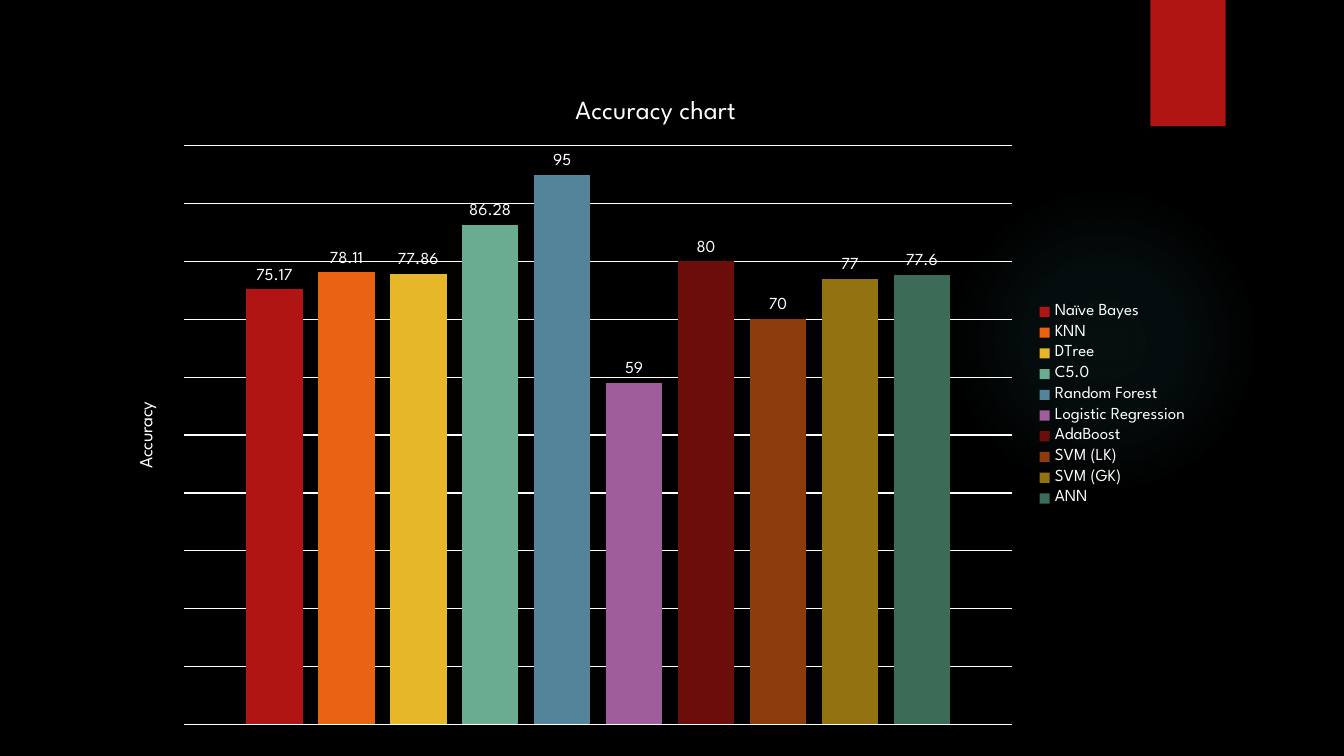
from pptx import Presentation
from pptx.chart.data import CategoryChartData
from pptx.dml.color import RGBColor
from pptx.enum.chart import XL_CHART_TYPE, XL_LABEL_POSITION, XL_LEGEND_POSITION
from pptx.enum.shapes import MSO_SHAPE
from pptx.oxml import parse_xml
from pptx.oxml.ns import nsdecls, qn
from pptx.util import Inches, Pt

COLUMN = XL_CHART_TYPE.COLUMN_CLUSTERED
ABOVE = XL_LABEL_POSITION.OUTSIDE_END
RIGHT = XL_LEGEND_POSITION.RIGHT
RECT = MSO_SHAPE.RECTANGLE
OVAL = MSO_SHAPE.OVAL
FACE = "League Spartan"
WHITE = "FFFFFF"
RED = "B01513"
GLOW = "50B9C1"

MODELS = [
    ("Naïve Bayes", 75.17, RED),
    ("KNN", 78.11, "EA6312"),
    ("DTree", 77.86, "E6B729"),
    ("C5.0", 86.28, "6AAC90"),
    ("Random Forest", 95, "54849A"),
    ("Logistic Regression", 59, "9E5E9B"),
    ("AdaBoost", 80, "6A0D0B"),
    ("SVM (LK)", 70, "8C3B0B"),
    ("SVM (GK)", 77, "927211"),
    ("ANN", 77.6, "3C6B57"),
]


def paint(fill, color):
    fill.solid()
    fill.fore_color.rgb = RGBColor.from_string(color)


def style(font, size, color=WHITE):
    font.name = FACE
    font.size = Pt(size)
    font.bold = False
    paint(font.fill, color)


def write(frame, text, size=10, color=WHITE):
    run = frame.paragraphs[0].add_run()
    run.text = text
    style(run.font, size, color)


def add_block(slide, kind, x, y, w, h, color):
    block = slide.shapes.add_shape(kind, Inches(x), Inches(y), Inches(w), Inches(h))
    block.shadow.inherit = False
    paint(block.fill, color)
    block.line.fill.background()
    return block


def add_glow(shape, color, stops):
    marks = "".join(
        f'<a:gs pos="{pos * 1000}"><a:srgbClr val="{color}">'
        f'<a:alpha val="{alpha * 1000}"/></a:srgbClr></a:gs>'
        for pos, alpha in stops
    )
    props = shape.element.spPr
    props.replace(props.find(qn("a:solidFill")), parse_xml(
        f'<a:gradFill {nsdecls("a")}><a:gsLst>{marks}</a:gsLst><a:path path="circle">'
        '<a:fillToRect l="50000" t="50000" r="50000" b="50000"/></a:path></a:gradFill>'
    ))


def add_shadow(shape, color, alpha, blur, gap, angle):
    shape.element.spPr.find(qn("a:effectLst")).append(parse_xml(
        f'<a:outerShdw {nsdecls("a")} blurRad="{Pt(blur)}" dist="{Pt(gap)}" '
        f'dir="{angle * 60000}" rotWithShape="0"><a:srgbClr val="{color}">'
        f'<a:alpha val="{alpha * 1000}"/></a:srgbClr></a:outerShdw>'
    ))


def add_chart(slide, x, y, w, h):
    data = CategoryChartData()
    data.categories = ["1"]
    for name, value, _ in MODELS:
        data.add_series(name, [value])
    chart = slide.shapes.add_chart(
        COLUMN, Inches(x), Inches(y), Inches(w), Inches(h), data).chart
    style(chart.font, 10)
    chart.has_title = True
    write(chart.chart_title.text_frame, "Accuracy chart", size=14)
    chart.chart_title.include_in_layout = False

    chart.has_legend = True
    chart.legend.position = RIGHT
    chart.legend.include_in_layout = False
    style(chart.legend.font, 9)

    chart.category_axis.visible = False
    axis = chart.value_axis
    axis.visible = False
    axis.minimum_scale, axis.maximum_scale, axis.major_unit = 0, 100, 10
    axis.has_major_gridlines = True
    grid = axis.major_gridlines.format.line
    grid.width = Pt(0.75)
    paint(grid.fill, WHITE)
    axis.has_title = True
    write(axis.axis_title.text_frame, "Accuracy")

    plot = chart.plots[0]
    plot.gap_width, plot.overlap = 219, -27
    plot.vary_by_categories = False
    for series, (_, _, color) in zip(plot.series, MODELS):
        paint(series.format.fill, color)
        labels = series.data_labels
        labels.show_value = True
        labels.position = ABOVE
        style(labels.font, 9)


def main():
    deck = Presentation()
    deck.slide_width, deck.slide_height = Inches(10), Inches(10) * 9 // 16
    slide = deck.slides.add_slide(deck.slide_layouts[6])
    paint(slide.background.fill, "000000")
    glow = add_block(slide, OVAL, 7.06, 1.38, 2.31, 2.31, GLOW)
    add_glow(glow, GLOW, [(0, 7), (36, 6), (69, 0)])
    flag = add_block(slide, RECT, 8.56, 0, 0.56, 0.94, RED)
    add_shadow(flag, "000000", alpha=45, blur=3, gap=2, angle=90)
    add_chart(slide, 0.82, 0.54, 8.12, 4.95)
    deck.save("out.pptx")


if __name__ == "__main__":
    main()
